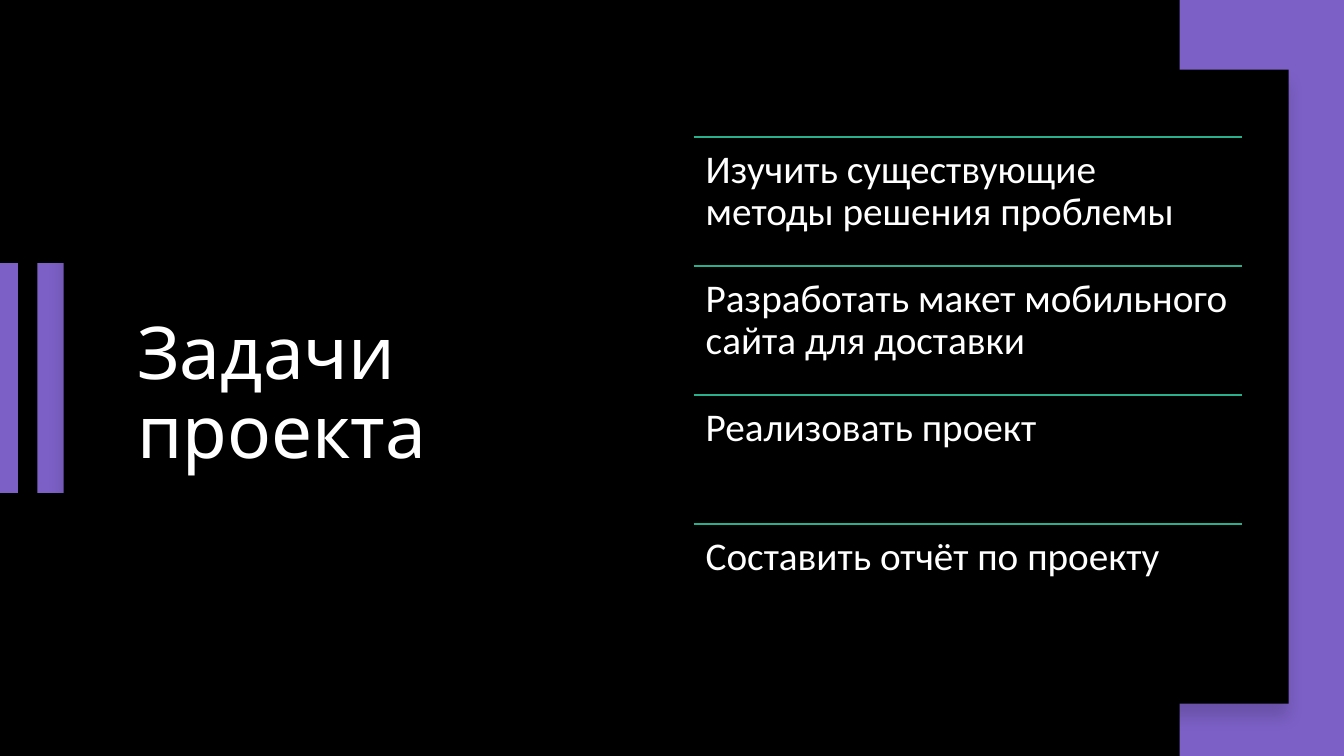
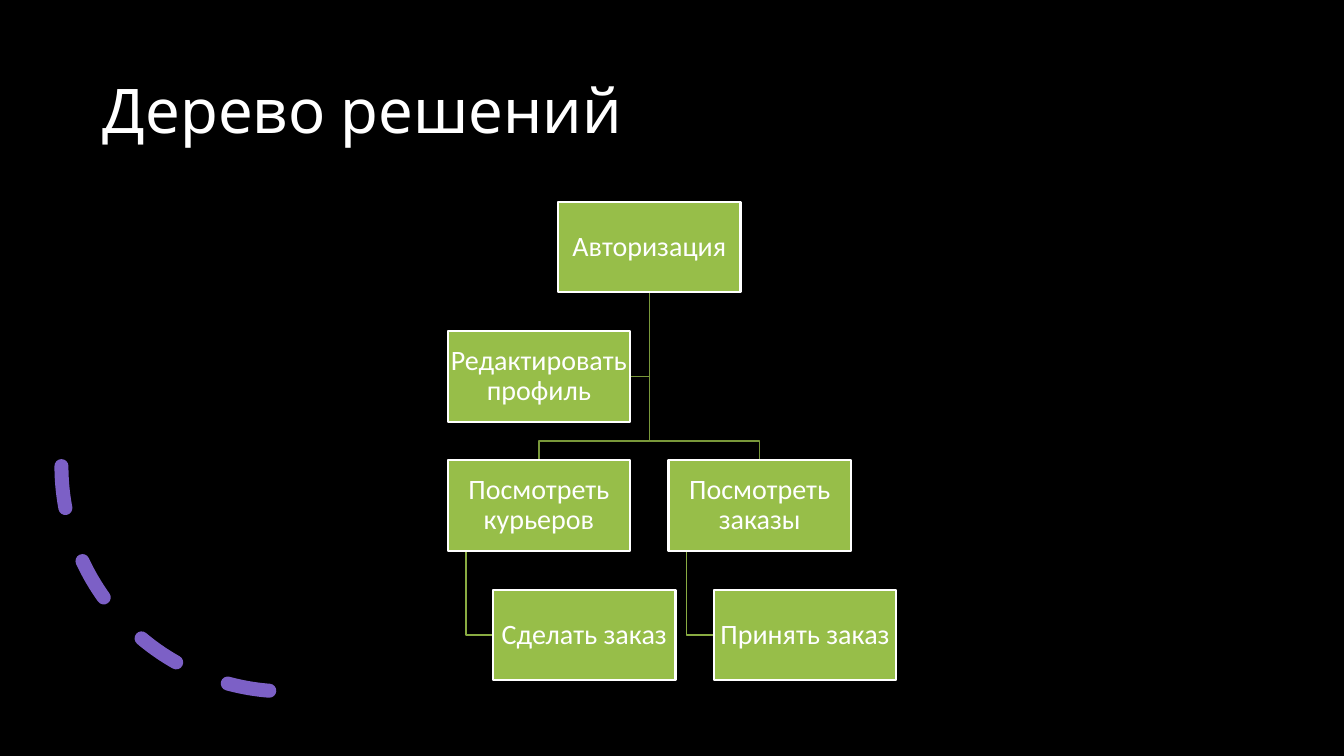
from lxml.etree import SubElement
from pptx import Presentation
from pptx.dml.color import RGBColor
from pptx.enum.dml import MSO_LINE
from pptx.enum.shapes import MSO_CONNECTOR, MSO_SHAPE
from pptx.enum.text import MSO_ANCHOR, MSO_AUTO_SIZE, PP_ALIGN
from pptx.oxml.ns import qn
from pptx.util import Inches, Pt

BLACK = RGBColor(0x00, 0x00, 0x00)
WHITE = RGBColor(0xFF, 0xFF, 0xFF)
PURPLE = RGBColor(0x7C, 0x60, 0xC6)
TEAL = RGBColor(0x29, 0xAF, 0x8C)
GREEN = RGBColor(0x97, 0xBE, 0x49)
UPPER_LINK = RGBColor(0x79, 0x98, 0x3A)
LOWER_LINK = RGBColor(0x89, 0xAC, 0x42)

TITLE_FONT = "League Spartan"
BODY_FONT = "Calibri"
SLIDE_WIDTH, SLIDE_HEIGHT = 13.33, 7.5

TASKS = [
    "Изучить существующие методы решения проблемы",
    "Разработать макет мобильного сайта для доставки",
    "Реализовать проект",
    "Составить отчёт по проекту",
]
BRANCHES = [
    ("Посмотреть курьеров", "Сделать заказ"),
    ("Посмотреть заказы", "Принять заказ"),
]


def write_text(frame, text, *, size, font=BODY_FONT, align=PP_ALIGN.LEFT,
               anchor=MSO_ANCHOR.TOP, inset=0.1):
    """Fill a text frame with one white paragraph."""
    frame.word_wrap = True
    frame.auto_size = MSO_AUTO_SIZE.NONE
    frame.vertical_anchor = anchor
    frame.margin_left = frame.margin_right = Inches(inset)
    frame.margin_top = frame.margin_bottom = Inches(inset)
    para = frame.paragraphs[0]
    para.alignment = align
    para.line_spacing = 0.9
    span = para.add_run()
    span.text = text
    span.font.name = font
    span.font.size = Pt(size)
    span.font.color.rgb = WHITE


def add_block(page, box, fill, *, outline=None):
    """Add a filled rectangle at a box of left, top, width, height."""
    block = page.shapes.add_shape(MSO_SHAPE.RECTANGLE, *map(Inches, box))
    block.shadow.inherit = False
    block.fill.solid()
    block.fill.fore_color.rgb = fill
    if outline is None:
        block.line.fill.background()
    else:
        block.line.color.rgb = outline
        block.line.width = Pt(1.5)
    return block


def add_rule(page, start, end, color, width):
    """Add a straight line without a shadow."""
    rule = page.shapes.add_connector(
        MSO_CONNECTOR.STRAIGHT, *map(Inches, (*start, *end)))
    rule.line.color.rgb = color
    rule.line.width = Pt(width)
    SubElement(rule.element.spPr, qn("a:effectLst"))


def add_link(page, points, color):
    """Add a thin open line through the given points."""
    start, *rest = [(Inches(x), Inches(y)) for x, y in points]
    builder = page.shapes.build_freeform(*start)
    builder.add_line_segments(rest, close=False)
    link = builder.convert_to_shape()
    link.shadow.inherit = False
    link.fill.background()
    link.line.color.rgb = color
    link.line.width = Pt(1)


def add_drop_shadow(block):
    """Give a shape a soft shadow falling downwards."""
    effects = block.element.spPr.find(qn("a:effectLst"))
    shadow = SubElement(effects, qn("a:outerShdw"), blurRad=str(Pt(11)),
                        dist=str(Pt(10)), dir="5400000", rotWithShape="0")
    color = SubElement(shadow, qn("a:srgbClr"), val=str(BLACK))
    SubElement(color, qn("a:alpha"), val="15000")


def add_page(deck):
    """Add a black title-only slide."""
    page = deck.slides.add_slide(deck.slide_layouts[5])
    page.background.fill.solid()
    page.background.fill.fore_color.rgb = BLACK
    return page


def place_title(page, text, box, size):
    """Move the title to a box, in front of what is already drawn."""
    title = page.shapes.title
    title.left, title.top, title.width, title.height = map(Inches, box)
    write_text(title.text_frame, text, size=size, font=TITLE_FONT,
               anchor=MSO_ANCHOR.MIDDLE)
    title.element.getparent().append(title.element)


def draw_frame(page, panel):
    """Draw the purple bars and the black panel that overlaps them."""
    bar_top, bar_height = 2.61, 2.28
    band_width = 1.63
    add_block(page, (0.37, bar_top, 0.34, bar_height), PURPLE)
    add_rule(page, (0.08, bar_top), (0.08, bar_top + bar_height), PURPLE, 14)
    add_block(page, (SLIDE_WIDTH - band_width, 0, band_width, SLIDE_HEIGHT),
              PURPLE)
    add_drop_shadow(add_block(page, panel, BLACK))


def draw_task_list(page, box, tasks):
    """Share a box among tasks, each below its own rule."""
    left, top, width, height = box
    row_height = height / len(tasks)
    for index, task in enumerate(tasks):
        row_top = top + index * row_height
        add_rule(page, (left, row_top), (left + width, row_top), TEAL, 1)
        label = page.shapes.add_textbox(
            *map(Inches, (left, row_top, width, row_height)))
        write_text(label.text_frame, task, size=28, inset=0.12)


def draw_arc(page, box):
    """Draw the dashed quarter circle with round ends."""
    arc = page.shapes.add_shape(MSO_SHAPE.ARC, *map(Inches, box))
    arc.shadow.inherit = False
    arc.fill.background()
    arc.line.color.rgb = PURPLE
    arc.line.width = Pt(10)
    arc.line.dash_style = MSO_LINE.DASH
    arc.rotation = 90
    arc.element.spPr.find(qn("a:xfrm")).set("flipV", "1")
    arc.element.spPr.find(qn("a:ln")).set("cap", "rnd")


def draw_tree(page, box, root, aside, branches):
    """Draw a root, its side node and two-level branches inside a box."""
    left, top, width, height = box
    node_width, node_height = 1.81, 0.9
    gap, indent = 0.38, 0.45
    column_pitch = width - indent - node_width
    row_pitch = (height - node_height) / 3
    root_left = left + column_pitch / 2
    trunk = root_left + node_width / 2
    root_bottom = top + node_height
    rows = [top + index * row_pitch for index in range(4)]
    aside_middle = rows[1] + node_height / 2
    leaf_middle = rows[3] + node_height / 2
    fork = rows[2] - gap / 2

    nodes = [(root, root_left, rows[0]), (aside, left, rows[1])]
    add_link(page, [(trunk, root_bottom), (trunk, aside_middle),
                    (left + node_width, aside_middle)], UPPER_LINK)
    for index, (parent, leaf) in enumerate(branches):
        parent_left = left + index * column_pitch
        parent_center = parent_left + node_width / 2
        stem = parent_left + node_width / 10
        leaf_left = parent_left + indent
        add_link(page, [(trunk, root_bottom), (trunk, fork),
                        (parent_center, fork), (parent_center, rows[2])],
                 UPPER_LINK)
        add_link(page, [(stem, rows[2] + node_height), (stem, leaf_middle),
                        (leaf_left, leaf_middle)], LOWER_LINK)
        nodes += [(parent, parent_left, rows[2]), (leaf, leaf_left, rows[3])]

    for text, node_left, node_top in nodes:
        node = add_block(page, (node_left, node_top, node_width, node_height),
                         GREEN, outline=WHITE)
        write_text(node.text_frame, text, size=20, align=PP_ALIGN.CENTER,
                   anchor=MSO_ANCHOR.MIDDLE, inset=0.01)


def build_tasks_slide(deck):
    """Build the slide that lists the project tasks."""
    page = add_page(deck)
    draw_frame(page, (0.63, 0.69, 12.15, 6.29))
    place_title(page, "Задачи проекта", (1.26, 1.36, 4.38, 5.12), 52)
    draw_task_list(page, (6.88, 1.36, 5.44, 5.12), TASKS)


def build_tree_slide(deck):
    """Build the slide with the decision tree."""
    page = add_page(deck)
    place_title(page, "Дерево решений", (0.92, 0.4, 11.5, 1.45), 44)
    draw_arc(page, (0.61, 2.39, 4.47, 4.47))
    draw_tree(page, (4.44, 2, 4.45, 4.75), "Авторизация",
              "Редактировать профиль", BRANCHES)


def main():
    """Build the deck and save it."""
    deck = Presentation()
    deck.slide_width = Inches(SLIDE_WIDTH)
    deck.slide_height = Inches(SLIDE_HEIGHT)
    build_tasks_slide(deck)
    build_tree_slide(deck)
    deck.save("out.pptx")


if __name__ == "__main__":
    main()
